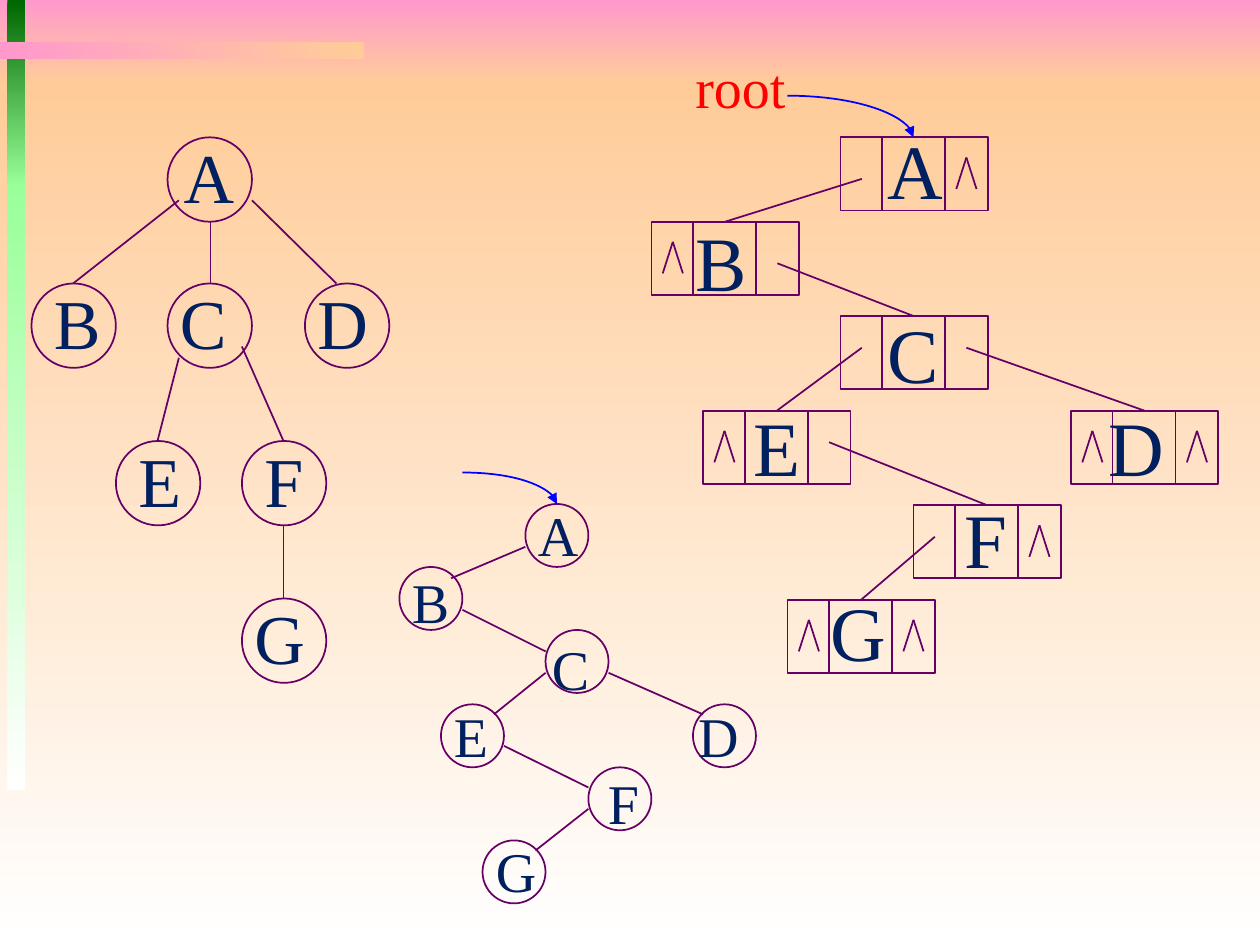
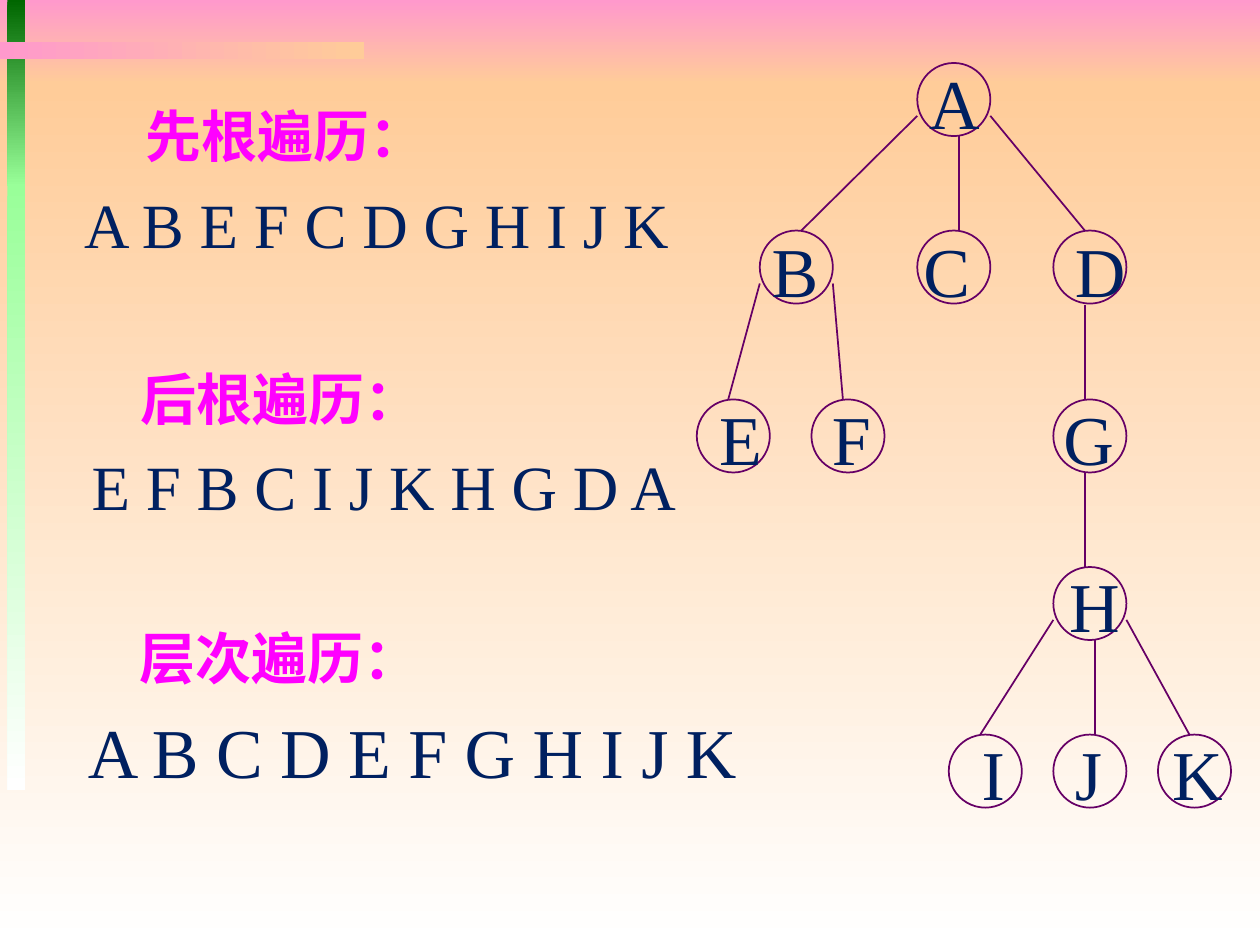
from dataclasses import dataclass
from lxml.etree import SubElement
from pptx import Presentation
from pptx.dml.color import RGBColor as Rgb
from pptx.enum.shapes import MSO_CONNECTOR as Connector, MSO_SHAPE as Preset
from pptx.oxml.ns import qn
from pptx.util import Inches, Pt


@dataclass(frozen=True)
class Theme:
    font: str = "Times New Roman"
    ink: str = "002060"
    outline: str = "660066"
    pointer: str = "0000FF"
    root: str = "FF0000"
    heading: str = "FF00FF"
    pink: str = "FF99CC"
    peach: str = "FFCC99"
    green: str = "006600"
    mint: str = "99FF99"
    white: str = "FFFFFF"
    small: int = 32
    medium: int = 36
    large: int = 40
    huge: int = 44
    line_height: float = 1.2


theme = Theme()


def style_outline(shape, color=theme.outline):
    shape.line.color.rgb = Rgb.from_string(color)
    shape.line.width = Pt(1)
    SubElement(shape.element.spPr, qn("a:effectLst"))
    return shape


def add_text(slide, box, rows, size, color=theme.ink, bold=False, gap=0):
    frame = slide.shapes.add_textbox(*map(Inches, box)).text_frame
    frame.word_wrap = True
    for index, row in enumerate(rows):
        paragraph = frame.add_paragraph() if index else frame.paragraphs[0]
        paragraph.line_spacing = Pt(size * theme.line_height)
        paragraph.space_before = Pt(gap if index else 0)
        stops = [column for column, _ in row if column]
        if stops:
            tabs = SubElement(paragraph._p.get_or_add_pPr(), qn("a:tabLst"))
            for column in stops:
                position = Pt(column * size / 4)
                SubElement(tabs, qn("a:tab"), pos=str(position), algn="l")
        for column, text in row:
            run = paragraph.add_run()
            run.text = "\t" + text if column else text
            run.font.name = theme.font
            run.font.size = Pt(size)
            run.font.bold = bold
            run.font.color.rgb = Rgb.from_string(color)


presentation = Presentation()
presentation.slide_width = Inches(10)
presentation.slide_height = Inches(7.5)
blank = presentation.slide_layouts[6]
storage_slide = presentation.slides.add_slide(blank)
traversal_slide = presentation.slides.add_slide(blank)

bands = [
    ((0, 0, 10, 0.67), theme.pink, theme.peach, 270),
    ((0, 0.67, 10, 6.83), theme.peach, theme.white, 270),
    ((0.06, 0, 0.14, 1.48), theme.green, theme.mint, 270),
    ((0.06, 1.46, 0.14, 4.81), theme.mint, theme.white, 270),
    ((0, 0.33, 2.89, 0.14), theme.pink, theme.peach, 0),
]
for number, (box, start, end, angle) in enumerate(bands, 20):
    band = storage_slide.shapes.add_shape(Preset.RECTANGLE, *map(Inches, box))
    band.shadow.inherit = False
    band.line.fill.background()
    band.fill.gradient()
    band.fill.gradient_angle = angle
    for stop, color in zip(band.fill.gradient_stops, (start, end)):
        stop.color.rgb = Rgb.from_string(color)
    band.element.nvSpPr.cNvPr.set("id", str(number))
    presentation.slide_master.shapes.element.append(band.element)

general_tree = {
    "A": (1.33, 1.09, 1.36), "B": (0.25, 2.25, 0.33), "C": (1.33, 2.25, 1.33),
    "D": (2.42, 2.25, 2.42), "E": (0.92, 3.5, 1), "F": (1.92, 3.5, 2),
    "G": (1.92, 4.75, 1.92),
}
for letter, (left, top, label_left) in general_tree.items():
    add_text(storage_slide, (label_left, top - 0.08, 0.65, 0.77),
             [[(0, letter)]], theme.large)

trees = [
    (storage_slide, 0.67, [node[:2] for node in general_tree.values()], [
        (2, 1.59, 2.67, 2.25), (1.42, 1.59, 0.58, 2.25),
        (1.42, 2.84, 1.25, 3.5), (1.67, 1.75, 1.67, 2.25),
        (1.92, 2.75, 2.25, 3.5), (2.25, 4.17, 2.25, 4.75),
    ]),
    (storage_slide, 0.5, [
        (4.17, 4), (3.17, 4.5), (4.33, 5), (3.5, 5.59),
        (5.5, 5.59), (4.67, 6.09), (3.83, 6.67),
    ], [
        (4.17, 4.34, 3.58, 4.59), (3.67, 4.84, 4.33, 5.17),
        (4.33, 5.34, 3.92, 5.67), (4.83, 5.34, 5.58, 5.67),
        (4, 5.92, 4.67, 6.25), (4.67, 6.42, 4.25, 6.75),
    ]),
    (traversal_slide, 0.58, [
        (7.28, 0.5), (6.03, 1.83), (7.28, 1.83), (8.36, 1.83),
        (5.53, 3.17), (6.44, 3.17), (8.36, 3.17), (8.36, 4.5),
        (7.53, 5.83), (8.36, 5.83), (9.19, 5.83),
    ], [
        (7.61, 1.08, 7.61, 1.83), (7.28, 0.92, 6.36, 1.83),
        (7.86, 0.92, 8.61, 1.83), (6.03, 2.25, 5.78, 3.17),
        (6.61, 2.25, 6.69, 3.17), (8.61, 2.42, 8.61, 3.17),
        (8.61, 3.75, 8.61, 4.5), (8.69, 5.08, 8.69, 5.83),
        (8.36, 4.92, 7.78, 5.83), (8.94, 4.92, 9.44, 5.83),
    ]),
]
for slide, diameter, nodes, edges in trees:
    for left, top in nodes:
        circle = slide.shapes.add_shape(
            Preset.OVAL, *map(Inches, (left, top, diameter, diameter)))
        circle.fill.background()
        style_outline(circle)
    for edge in edges:
        style_outline(slide.shapes.add_connector(
            Connector.STRAIGHT, *map(Inches, edge)))

left_slot, right_slot = 0.17, 1
record_width, record_height = 1.17, 0.58
records = {
    "A": (6.67, 1.09, [right_slot]), "B": (5.17, 1.76, [left_slot]),
    "C": (6.67, 2.51, []), "D": (8.5, 3.26, [left_slot, right_slot]),
    "E": (5.58, 3.26, [left_slot]), "F": (7.25, 4.01, [right_slot]),
    "G": (6.25, 4.76, [left_slot, right_slot]),
}
record_shapes = {}
for letter, (left, top, empty_slots) in records.items():
    record = storage_slide.shapes.add_shape(
        Preset.RECTANGLE, *map(Inches, (left, top, record_width, record_height)))
    record.fill.background()
    record_shapes[letter] = style_outline(record)
    strokes = [(x, 0, x, record_height) for x in (0.33, 0.83)]
    strokes += [(slot, 0.16, slot + side, 0.41)
                for slot in empty_slots for side in (-0.08, 0.08)]
    for x1, y1, x2, y2 in strokes:
        style_outline(storage_slide.shapes.add_connector(
            Connector.STRAIGHT,
            *map(Inches, (left + x1, top + y1, left + x2, top + y2))))

links = [
    ("A", left_slot, 0.33, "B"), ("B", right_slot, 0.33, "C"),
    ("C", left_slot, 0.25, "E"), ("C", right_slot, 0.25, "D"),
    ("E", right_slot, 0.25, "F"), ("F", left_slot, 0.25, "G"),
]
for parent, slot, drop, child in links:
    left, top, _ = records[parent]
    start = Inches(left + slot), Inches(top + drop)
    link = storage_slide.shapes.add_connector(Connector.STRAIGHT, *start, *start)
    link.end_connect(record_shapes[child], 0)
    style_outline(link)

for ends in [(6.25, 0.76, 7.25, 1.09), (3.67, 3.75, 4.42, 4)]:
    arrow = storage_slide.shapes.add_connector(Connector.CURVE, *map(Inches, ends))
    arrow.element.spPr.find(qn("a:prstGeom")).set("prst", "curvedConnector2")
    style_outline(arrow, theme.pointer)
    SubElement(arrow.element.spPr.find(qn("a:ln")), qn("a:tailEnd"), type="triangle")

add_text(storage_slide, (5.42, 0.37, 0.95, 0.64), [[(0, "root")]],
         theme.small, theme.root)
add_text(storage_slide, (5.42, 0.92, 4.42, 4.54), [
    [(10, "A")], [(0, "B")], [(10, "C")],
    [(3, "E"), (21.44, "D")], [(14, "F")], [(7, "G")],
], theme.huge)
add_text(storage_slide, (3.17, 3.92, 2.85, 3.33), [
    [(9, "A")], [(0, "B")], [(10, "C")],
    [(3, "E"), (20.44, "D")], [(14, "F")], [(6, "G")],
], theme.small)

add_text(traversal_slide, (5.61, 0.42, 4.3, 7.17), [
    [(12, "A")],
    [(3, "B"), (11.67, "C"), (20.33, "D")],
    [(0, "E"), (6.44, "F"), (19.67, "G")],
    [(20, "H")],
    [(15, "I"), (20.33, "J"), (25.89, "K")],
], theme.large, gap=theme.large * theme.line_height)

traversals = [
    ("先根遍历：", 1.06, 0.76, "A B E F C D G H I J K", 0.57, 1.42, theme.medium),
    ("后根遍历：", 1.02, 2.84, "E F B C I J K H G D A", 0.63, 3.5, theme.medium),
    ("层次遍历：", 1.01, 4.9, "A B C D E F G H I J K", 0.6, 5.57, theme.large),
]
for name, name_left, name_top, order, left, top, size in traversals:
    add_text(traversal_slide, (name_left, name_top, 2.7, 0.64), [[(0, name)]],
             theme.small, theme.heading, bold=True)
    add_text(traversal_slide, (left, top, 5.5, 0.75), [[(0, order)]], size)

presentation.save("out.pptx")
